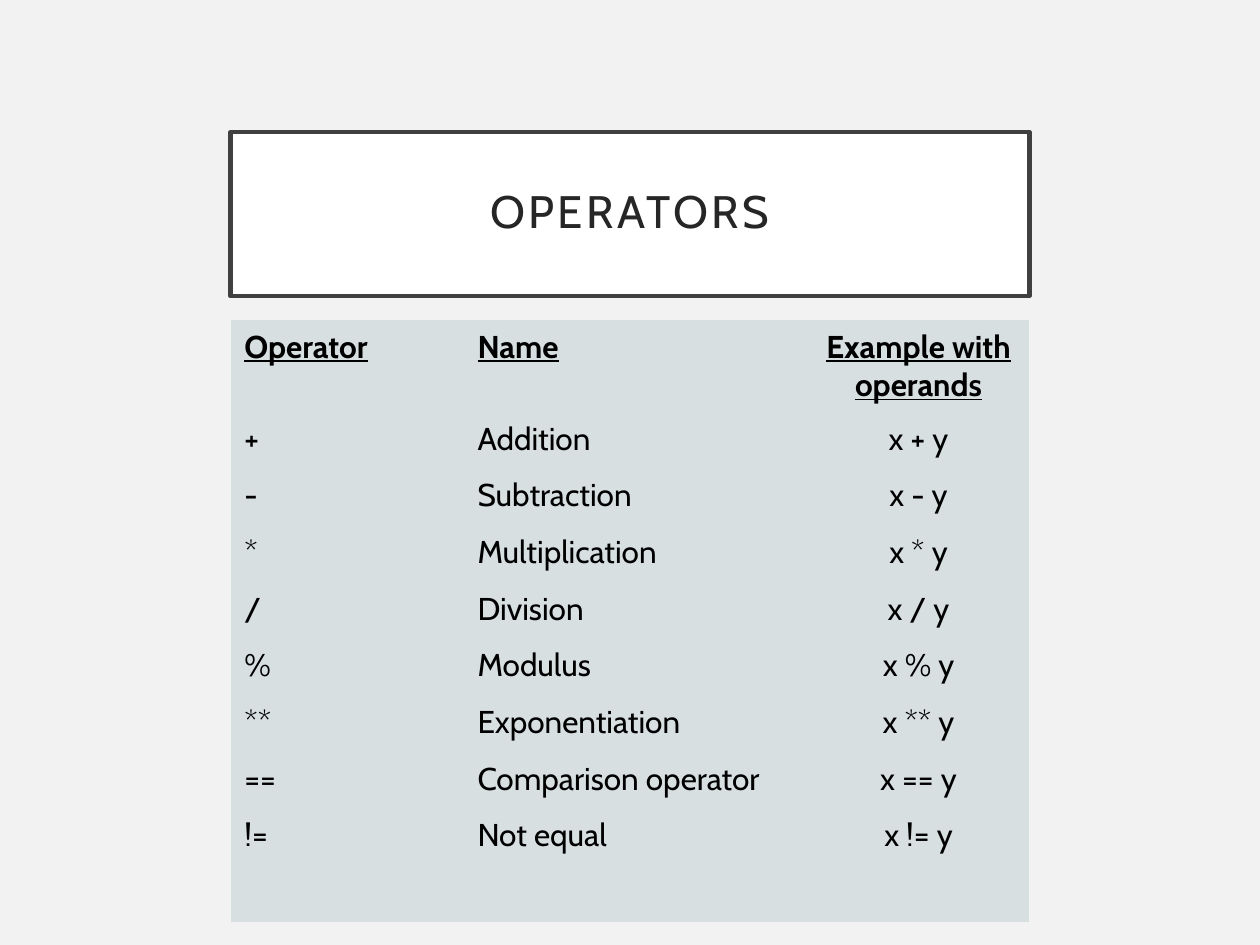
from pptx import Presentation
from pptx.dml.color import RGBColor
from pptx.enum.shapes import MSO_SHAPE
from pptx.enum.text import MSO_ANCHOR, PP_ALIGN
from pptx.oxml.ns import qn
from pptx.util import Inches, Pt

RECTANGLE = MSO_SHAPE.RECTANGLE
MIDDLE = MSO_ANCHOR.MIDDLE
LEFT, CENTER = PP_ALIGN.LEFT, PP_ALIGN.CENTER
NO_GRID_STYLE = "{2D5ABB26-0587-4C30-8999-92F81FD0307C}"

HEADER = ("Operator", "Name", "Example with operands")
OPERATORS = {
    "+": "Addition",
    "-": "Subtraction",
    "*": "Multiplication",
    "/": "Division",
    "%": "Modulus",
    "**": "Exponentiation",
    "==": "Comparison operator",
    "!=": "Not equal",
}


def color(hex_value):
    return RGBColor.from_string(hex_value)


class SlideBuilder:
    """Holds the style and the slide being built."""

    font_name = "Cabin"
    background = "F2F2F2"
    title_fill, title_line, title_text = "FFFFFF", "404040", "262626"
    cell_fill, cell_text = "D7DFE1", "000000"

    def __init__(self, slide):
        self.slide = slide
        fill = slide.background.fill
        fill.solid()
        fill.fore_color.rgb = color(self.background)

    def style_paragraph(self, paragraph, size, text_color, align):
        paragraph.alignment = align
        font = paragraph.font
        font.name = self.font_name
        font.size = Pt(size)
        font.color.rgb = color(text_color)
        return font

    def add_title(self, text, left, top, width, height):
        shape = self.slide.shapes.add_shape(
            RECTANGLE, Inches(left), Inches(top), Inches(width), Inches(height))
        shape.shadow.inherit = False
        shape.fill.solid()
        shape.fill.fore_color.rgb = color(self.title_fill)
        shape.line.color.rgb = color(self.title_line)
        shape.line.width = Pt(2.5)
        frame = shape.text_frame
        frame.word_wrap = True
        frame.vertical_anchor = MIDDLE
        frame.margin_left = frame.margin_right = Inches(0.2)
        frame.margin_top = frame.margin_bottom = Inches(0.2)
        paragraph = frame.paragraphs[0]
        paragraph.line_spacing = 0.9
        run = paragraph.add_run()
        run.text = text
        self.style_paragraph(paragraph, 26, self.title_text, CENTER)
        run.font._element.set("spc", "200")

    def add_table(self, rows, left, top, column_widths, row_height):
        table = self.slide.shapes.add_table(
            len(rows), len(column_widths), Inches(left), Inches(top),
            Inches(sum(column_widths)), Inches(row_height * len(rows))).table
        table.first_row = table.horz_banding = False
        table._tbl.tblPr.find(qn("a:tableStyleId")).text = NO_GRID_STYLE
        for column, width in zip(table.columns, column_widths):
            column.width = Inches(width)
        for row_index, texts in enumerate(rows):
            table.rows[row_index].height = Inches(row_height)
            for column_index, text in enumerate(texts):
                self.fill_cell(table.cell(row_index, column_index), text,
                               column_index, row_index == 0)

    def fill_cell(self, cell, text, column_index, is_header):
        cell.fill.solid()
        cell.fill.fore_color.rgb = color(self.cell_fill)
        cell.margin_left = Inches(0.11 if column_index == 0 else 0.06)
        cell.margin_right = cell.margin_top = cell.margin_bottom = Inches(0.06)
        paragraph = cell.text_frame.paragraphs[0]
        if text:
            paragraph.text = text
        align = CENTER if column_index == 2 else LEFT
        font = self.style_paragraph(paragraph, 18, self.cell_text, align)
        font.bold = font.underline = is_header


def main():
    presentation = Presentation()
    presentation.slide_width, presentation.slide_height = Inches(10), Inches(7.5)
    builder = SlideBuilder(
        presentation.slides.add_slide(presentation.slide_layouts[6]))
    builder.add_title("OPERATORS", 1.83, 1.05, 6.34, 1.3)
    examples = [(sign, name, f"x {sign} y") for sign, name in OPERATORS.items()]
    empty_row = ("", "", "")
    builder.add_table([HEADER, *examples, empty_row],
                      1.83, 2.54, (1.9, 2.68, 1.76), 0.45)
    presentation.save("out.pptx")


if __name__ == "__main__":
    main()
